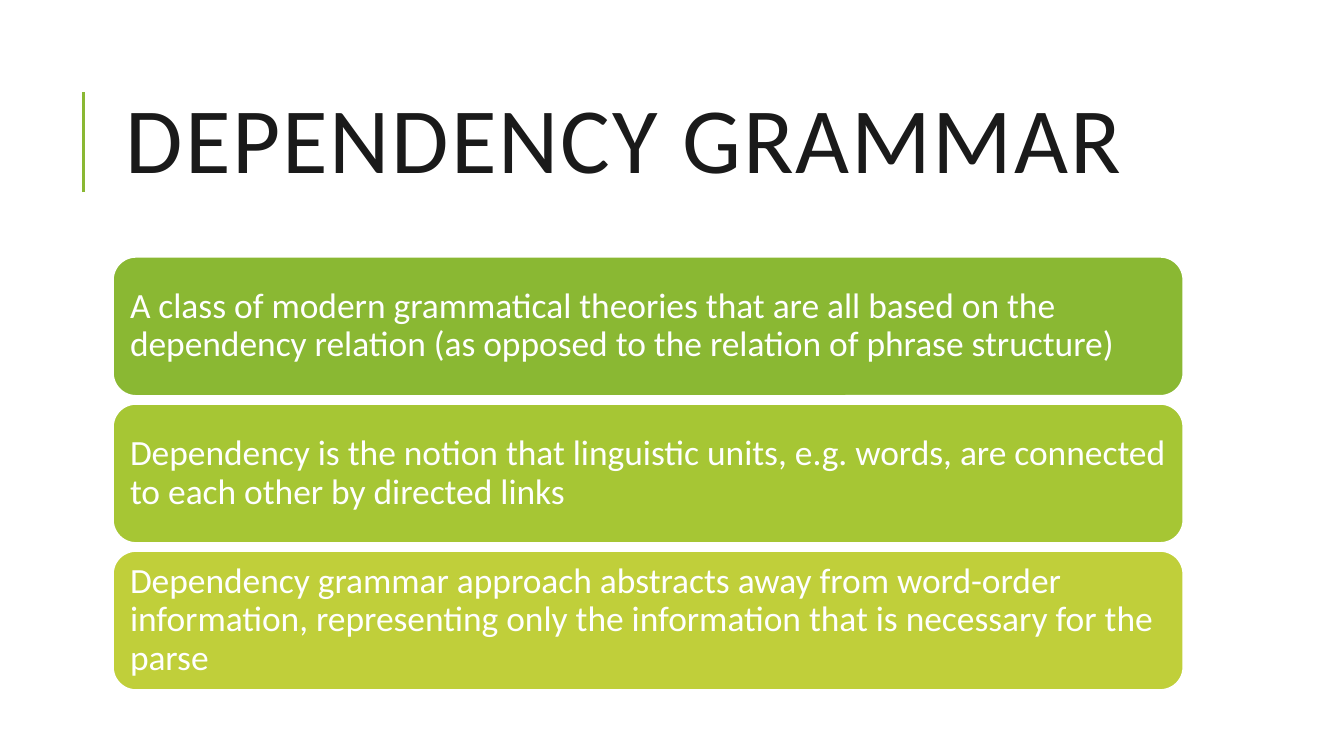
from lxml import etree
from pptx import Presentation
from pptx.dml.color import RGBColor
from pptx.enum.shapes import MSO_CONNECTOR, MSO_SHAPE
from pptx.enum.text import MSO_ANCHOR, PP_ALIGN
from pptx.oxml.ns import qn
from pptx.util import Cm, Pt

STRAIGHT = MSO_CONNECTOR.STRAIGHT
ROUNDED_RECTANGLE = MSO_SHAPE.ROUNDED_RECTANGLE
MIDDLE = MSO_ANCHOR.MIDDLE
LEFT = PP_ALIGN.LEFT

WHITE = RGBColor(0xFF, 0xFF, 0xFF)
INK = RGBColor(0x1A, 0x1A, 0x1A)
GREEN = RGBColor(0x8A, 0xB8, 0x33)
LIME = RGBColor(0xA6, 0xC6, 0x34)
YELLOW_GREEN = RGBColor(0xC0, 0xCF, 0x3A)

FONT = "Calibri"
STATEMENTS = [
    ("A class of modern grammatical theories that are all based on the dependency "
     "relation (as opposed to the relation of phrase structure)", GREEN),
    ("Dependency is the notion that linguistic units, e.g. words, are connected "
     "to each other by directed links", LIME),
    ("Dependency grammar approach abstracts away from word-order information, "
     "representing only the information that is necessary for the parse", YELLOW_GREEN),
]


def write_text(shape, text, *, size, color, line_spacing, inset_x, inset_y, tracking=0):
    """Fill a shape with one left-aligned, vertically centred paragraph."""
    frame = shape.text_frame
    frame.word_wrap = True
    frame.vertical_anchor = MIDDLE
    frame.margin_left = frame.margin_right = Cm(inset_x)
    frame.margin_top = frame.margin_bottom = Cm(inset_y)
    paragraph = frame.paragraphs[0]
    paragraph.alignment = LEFT
    paragraph.line_spacing = line_spacing
    run = paragraph.add_run()
    run.text = text
    run.font.name = FONT
    run.font.size = Pt(size)
    run.font.color.rgb = color
    if tracking:
        run.font._element.set("spc", str(tracking * 100))


def add_title(slide, text, left, top, width, height):
    """Place the title with a vertical accent line to its left."""
    line_left = left - 0.55
    line_inset = 0.51
    line = slide.shapes.add_connector(
        STRAIGHT, Cm(line_left), Cm(top + height - 0.71),
        Cm(line_left), Cm(top + line_inset))
    line.line.color.rgb = GREEN
    line.line.width = Pt(1.5)
    etree.SubElement(line._element.spPr, qn("a:effectLst"))
    title = slide.shapes.add_textbox(Cm(left), Cm(top), Cm(width), Cm(height))
    write_text(title, text, size=50, color=INK, line_spacing=0.8,
               inset_x=0.25, inset_y=0.13, tracking=1)


def add_statements(slide, statements, left, top, width, height, gap=0.14):
    """Stack equal rounded cards, one for each statement, within the box."""
    card_height = (height - gap * (len(statements) - 1)) / len(statements)
    for index, (text, color) in enumerate(statements):
        card_top = top + index * (card_height + gap)
        card = slide.shapes.add_shape(
            ROUNDED_RECTANGLE, Cm(left), Cm(card_top), Cm(width), Cm(card_height))
        card.shadow.inherit = False
        card.fill.solid()
        card.fill.fore_color.rgb = color
        card.line.color.rgb = WHITE
        card.line.width = Pt(1.25)
        write_text(card, text, size=19, color=WHITE, line_spacing=0.9,
                   inset_x=0.2, inset_y=0.1)


def main():
    """Build and save the slide."""
    presentation = Presentation()
    presentation.slide_width = Cm(25.4)
    presentation.slide_height = Cm(14.29)
    slide = presentation.slides.add_slide(presentation.slide_layouts[6])
    add_title(slide, "DEPENDENCY GRAMMAR", 2.13, 1.22, 20.24, 3.12)
    add_statements(slide, STATEMENTS, 2.13, 4.85, 20.24, 8.2)
    presentation.save("out.pptx")


if __name__ == "__main__":
    main()
